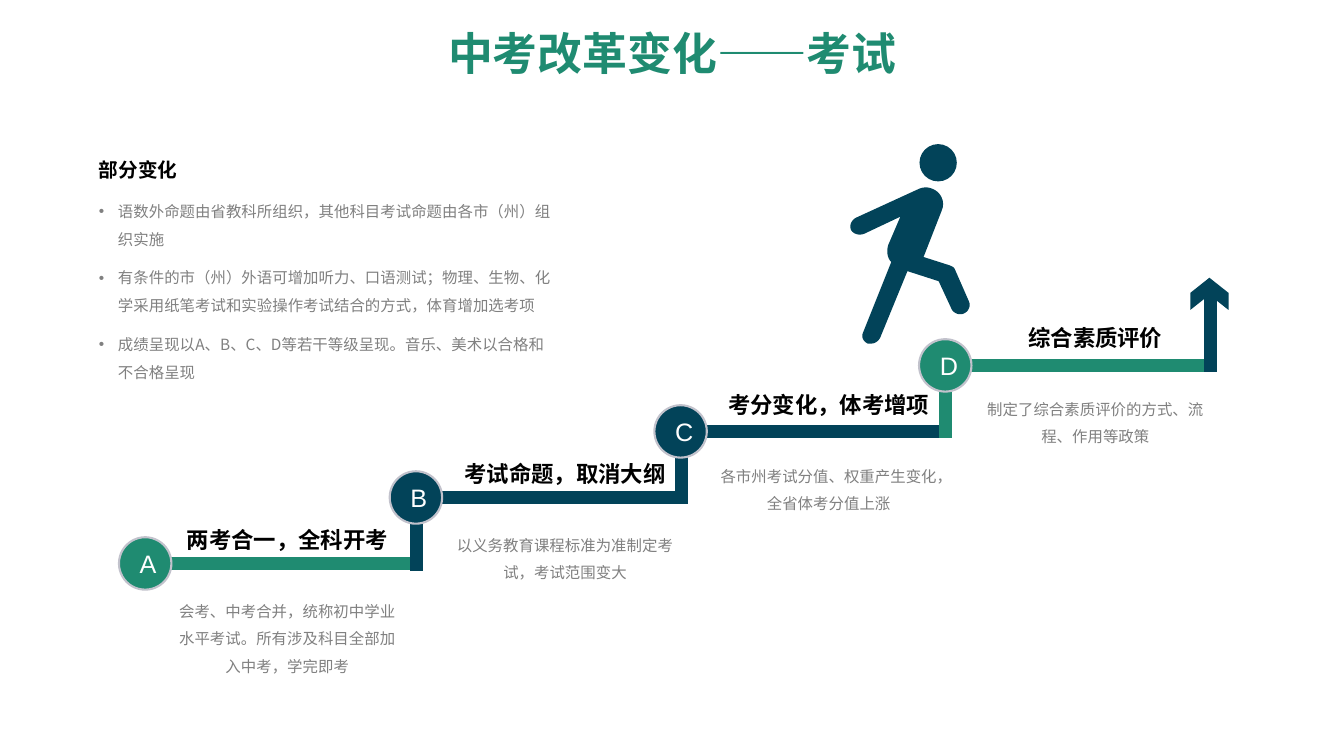
from lxml import etree
from pptx import Presentation
from pptx.dml.color import RGBColor
from pptx.enum.shapes import MSO_SHAPE
from pptx.enum.text import MSO_ANCHOR, MSO_AUTO_SIZE, PP_ALIGN
from pptx.oxml.ns import qn
from pptx.util import Inches, Pt

GREEN = RGBColor(0x1F, 0x8B, 0x71)
NAVY = RGBColor(0x02, 0x43, 0x59)
GRAY = RGBColor(0x80, 0x80, 0x80)
RING = RGBColor(0xC2, 0xC2, 0xCC)
BLACK = RGBColor(0, 0, 0)
WHITE = RGBColor(255, 255, 255)
CENTER, LEFT = PP_ALIGN.CENTER, PP_ALIGN.LEFT
MIDDLE, TOP = MSO_ANCHOR.MIDDLE, MSO_ANCHOR.TOP
NO_AUTOFIT = MSO_AUTO_SIZE.NONE
BAR, OVAL, CHEVRON = MSO_SHAPE.FLOWCHART_PROCESS, MSO_SHAPE.OVAL, MSO_SHAPE.CHEVRON
CJK = "Noto Sans CJK SC"

RUN, RISE, THICK, DOT = 2.625, 0.655, 0.13, 0.52
STEPS = [
    ("A", GREEN, NAVY, -0.39, (0.06, -0.51, 1.74), "两考合一，全科开考",
     "会考、中考合并，统称初中学业水平考试。所有涉及科目全部加入中考，学完即考"),
    ("B", NAVY, NAVY, -0.33, (0.19, -0.51, 1.47), "考试命题，取消大纲",
     "以义务教育课程标准为准制定考试，考试范围变大"),
    ("C", NAVY, GREEN, -0.33, (0.18, -0.54, 1.47), "考分变化，体考增项",
     "各市州考试分值、权重产生变化，全省体考分值上涨"),
    ("D", GREEN, NAVY, -0.33, (0.2, -0.55, 1.47), "综合素质评价",
     "制定了综合素质评价的方式、流程、作用等政策"),
]
CHANGES = [
    "语数外命题由省教科所组织，其他科目考试命题由各市（州）组织实施",
    "有条件的市（州）外语可增加听力、口语测试；物理、生物、化学采用纸笔考试和实验操作考试结合的方式，体育增加选考项",
    "成绩呈现以A、B、C、D等若干等级呈现。音乐、美术以合格和不合格呈现",
]
BODY_START = (0.67, 0.02)
BODY = [
    (0.06, 0.3), (0.02, 0.32, -0.01, 0.37, 0.01, 0.42),
    (0.03, 0.46, 0.09, 0.48, 0.14, 0.46), (0.5, 0.29), (0.38, 0.57),
    (0.36, 0.63, 0.37, 0.7, 0.41, 0.74), (0.13, 1.44),
    (0.11, 1.48, 0.13, 1.53, 0.18, 1.55), (0.2, 1.55, 0.23, 1.55, 0.25, 1.54),
    (0.27, 1.53, 0.29, 1.51, 0.3, 1.49), (0.57, 0.83), (0.88, 0.93), (1.01, 1.21),
    (1.03, 1.25, 1.09, 1.27, 1.13, 1.25), (1.18, 1.23, 1.2, 1.17, 1.18, 1.13),
    (1.04, 0.81), (1.03, 0.79, 1.01, 0.78, 0.98, 0.77), (0.73, 0.69), (0.91, 0.23),
    (0.95, 0.14, 0.9, 0.04, 0.81, 0.01), (0.76, -0.01, 0.71, 0, 0.67, 0.02),
]


def add_run(p, text, size, color, font, bold=False):
    """Add one formatted run to a paragraph."""
    r = p.add_run()
    r.text = text
    r.font.size, r.font.bold, r.font.name = Pt(size), bold, font
    r.font.color.rgb = color
    if font == CJK:
        ea = etree.SubElement(r.font._element, qn("a:ea"))
        ea.set("typeface", CJK)


def set_frame(tf, anchor):
    """Give a text frame its margins, wrapping and anchor."""
    tf.margin_left = tf.margin_right = Inches(0.13)
    tf.margin_top = tf.margin_bottom = Inches(0.07)
    tf.word_wrap, tf.auto_size, tf.vertical_anchor = True, NO_AUTOFIT, anchor


def add_solid(slide, kind, x, y, w, h, color):
    """Add a flat filled shape."""
    s = slide.shapes.add_shape(kind, Inches(x), Inches(y), Inches(w), Inches(h))
    s.shadow.inherit = False
    s.fill.solid()
    s.fill.fore_color.rgb = color
    s.line.fill.background()
    return s


def place(s, x, y, w, h):
    """Move and size a shape."""
    s.left, s.top, s.width, s.height = Inches(x), Inches(y), Inches(w), Inches(h)


def add_title(s, x, y, w, h):
    """Fill the title placeholder."""
    place(s, x, y, w, h)
    set_frame(s.text_frame, MIDDLE)
    p = s.text_frame.paragraphs[0]
    p.alignment, p.line_spacing = CENTER, 0.9
    add_run(p, "中考改革变化——考试", 32, GREEN, "Montserrat", True)


def add_changes(s, x, y, w, h):
    """Fill the body placeholder with a heading and bulleted changes."""
    place(s, x, y, w, h)
    tf = s.text_frame
    set_frame(tf, TOP)
    for i, text in enumerate(["部分变化"] + CHANGES):
        p = tf.paragraphs[0] if i == 0 else tf.add_paragraph()
        pPr = p._p.get_or_add_pPr()
        indent = Inches(0.19) if i else 0
        pPr.set("marL", str(indent))
        pPr.set("indent", str(-indent))
        if i:
            etree.SubElement(pPr, qn("a:buFont")).set("typeface", "Arial")
            etree.SubElement(pPr, qn("a:buChar")).set("char", "•")
        else:
            etree.SubElement(pPr, qn("a:buNone"))
        p.alignment, p.line_spacing = LEFT, 1.5
        p.space_before, p.space_after = Pt(0), Pt(8)
        if i:
            add_run(p, text, 11, GRAY, CJK)
        else:
            add_run(p, text, 14, BLACK, CJK, True)


def add_caption(slide, x, y, w, h, heading, detail):
    """Add a step heading above its bar and the detail below it."""
    tf = slide.shapes.add_textbox(Inches(x), Inches(y), Inches(w), Inches(h)).text_frame
    set_frame(tf, TOP)
    p = tf.paragraphs[0]
    p.alignment, p.line_spacing = CENTER, 1.5
    add_run(p, heading, 16, BLACK, CJK, True)
    p = tf.add_paragraph()
    p.alignment, p.line_spacing, p.space_before = CENTER, 1.5, Pt(28)
    add_run(p, detail, 11, GRAY, CJK)


def add_dot(slide, x, y, letter, color):
    """Add a ringed circle with its letter."""
    s = add_solid(slide, OVAL, x, y, DOT, DOT, color)
    s.line.color.rgb, s.line.width = RING, Pt(1.5)
    set_frame(s.text_frame, MIDDLE)
    p = s.text_frame.paragraphs[0]
    p.alignment = CENTER
    add_run(p, letter, 18, WHITE, "Arial")


def add_stairs(slide, x, y):
    """Climb from the left end of the lowest bar, ending in an arrow."""
    corners = [(x + i * RUN, y - i * RISE) for i in range(len(STEPS))]
    for (bx, by), (_, color, _, _, (dx, dy, h), heading, detail) in zip(corners, STEPS):
        add_caption(slide, bx + dx, by + dy, 2.44, h, heading, detail)
        add_solid(slide, BAR, bx, by, RUN, THICK, color)
    for (bx, by), step in zip(corners, STEPS):
        add_solid(slide, BAR, bx + RUN - THICK, by - RISE, THICK, RISE + THICK, step[2])
    end_x, end_y = corners[-1]
    tip = add_solid(slide, CHEVRON, end_x + 2.39, end_y - 0.84, 0.32, 0.38, NAVY)
    tip.adjustments[0], tip.rotation = 0.47, 270
    for (bx, by), (letter, color, _, dot_dx, *_) in zip(corners, STEPS):
        add_dot(slide, bx + dot_dx, by - 0.2, letter, color)


def trace(start, segments, steps=8):
    """Turn lines and cubic curves into a list of points."""
    points = [start]
    for seg in segments:
        if len(seg) == 2:
            points.append(seg)
            continue
        a, b, c, d = points[-1], seg[:2], seg[2:4], seg[4:]
        for t in (n / steps for n in range(1, steps + 1)):
            u = 1 - t
            points.append(tuple(u**3 * a[k] + 3 * u * u * t * b[k]
                                + 3 * u * t * t * c[k] + t**3 * d[k] for k in (0, 1)))
    return points


def add_walker(slide, x, y):
    """Draw the walking figure: round head and outlined body."""
    add_solid(slide, OVAL, x + 0.69, y, 0.37, 0.37, NAVY)
    points = [(Inches(x + px), Inches(y + 0.43 + py)) for px, py in trace(BODY_START, BODY)]
    builder = slide.shapes.build_freeform(*points[0])
    builder.add_line_segments(points[1:], close=True)
    s = builder.convert_to_shape()
    s.shadow.inherit = False
    s.fill.solid()
    s.fill.fore_color.rgb = NAVY
    s.line.fill.background()


def main():
    """Build and save the slide."""
    prs = Presentation()
    prs.slide_width, prs.slide_height = Inches(13.33), Inches(7.5)
    slide = prs.slides.add_slide(prs.slide_layouts[1])
    add_title(slide.shapes.title, 0.92, 0.23, 11.5, 0.66)
    add_changes(slide.placeholders[1], 0.85, 1.38, 4.82, 3.24)
    add_stairs(slide, 1.57, 5.53)
    add_walker(slide, 8.43, 1.43)
    prs.save("out.pptx")


if __name__ == "__main__":
    main()
